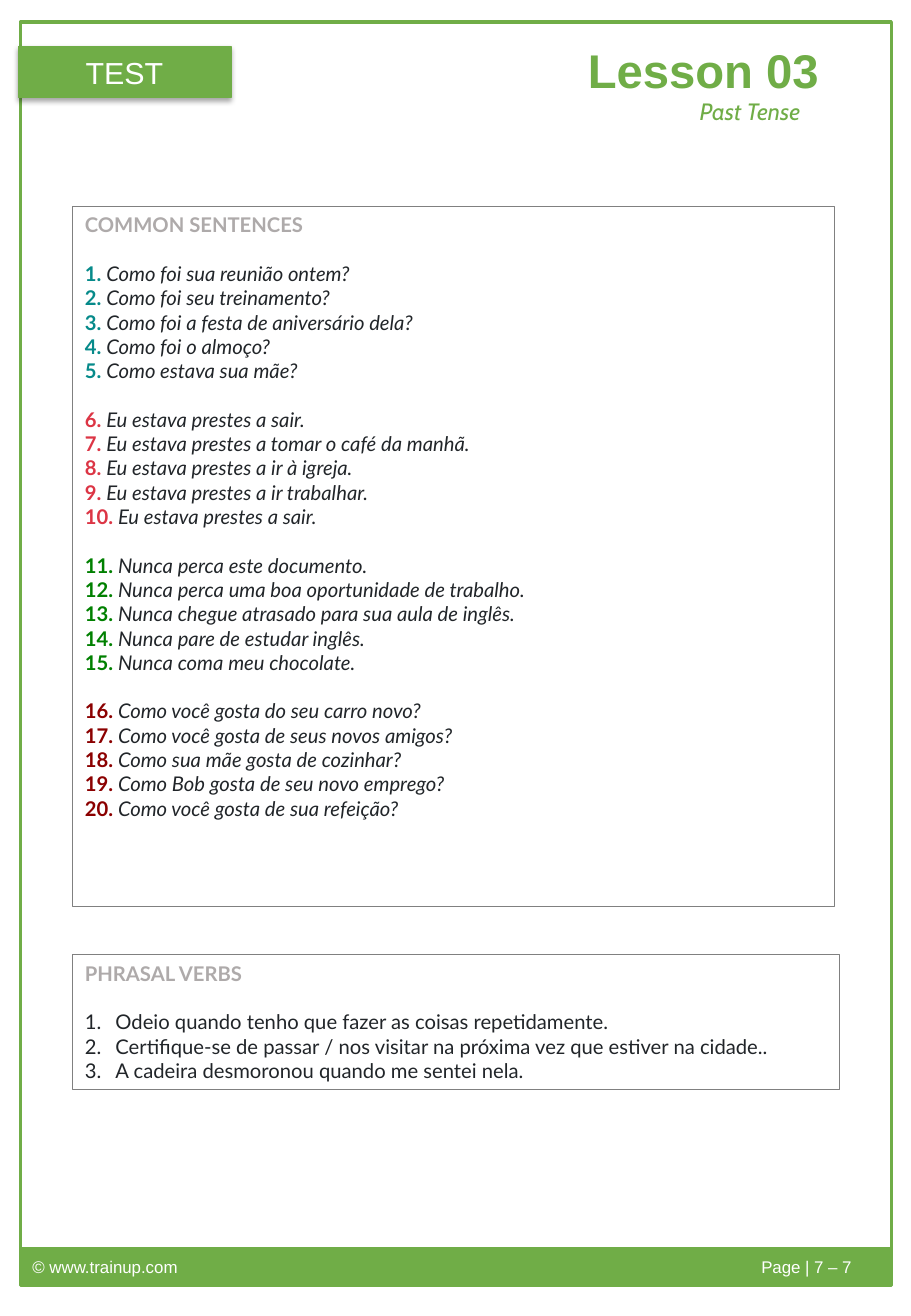
from lxml import etree
from pptx import Presentation
from pptx.dml.color import RGBColor
from pptx.enum.shapes import MSO_SHAPE
from pptx.enum.text import MSO_ANCHOR, MSO_AUTO_SIZE, PP_ALIGN
from pptx.oxml.ns import qn
from pptx.util import Cm, Pt

RECT, ROUNDED = MSO_SHAPE.RECTANGLE, MSO_SHAPE.ROUNDED_RECTANGLE
TOP, MIDDLE = MSO_ANCHOR.TOP, MSO_ANCHOR.MIDDLE
LEFT, CENTER = PP_ALIGN.LEFT, PP_ALIGN.CENTER
NO_FIT = MSO_AUTO_SIZE.NONE

GREEN, WHITE, GREY, HEADING, INK = "70AD47", "FFFFFF", "808080", "AEAAAA", "212529"
GAP = 14.4

SENTENCES = [
    ("068A8A", ["Como foi sua reunião ontem?",
                "Como foi seu treinamento?",
                "Como foi a festa de aniversário dela?",
                "Como foi o almoço?",
                "Como estava sua mãe?"]),
    ("DC3545", ["Eu estava prestes a sair.",
                "Eu estava prestes a tomar o café da manhã.",
                "Eu estava prestes a ir à igreja.",
                "Eu estava prestes a ir trabalhar.",
                "Eu estava prestes a sair."]),
    ("008000", ["Nunca perca este documento.",
                "Nunca perca uma boa oportunidade de trabalho.",
                "Nunca chegue atrasado para sua aula de inglês.",
                "Nunca pare de estudar inglês.",
                "Nunca coma meu chocolate."]),
    ("8B0000", ["Como você gosta do seu carro novo?",
                "Como você gosta de seus novos amigos?",
                "Como sua mãe gosta de cozinhar?",
                "Como Bob gosta de seu novo emprego?",
                "Como você gosta de sua refeição?"]),
]
VERBS = ["Odeio quando tenho que fazer as coisas repetidamente.",
         "Certifique-se de passar / nos visitar na próxima vez que estiver na cidade..",
         "A cadeira desmoronou quando me sentei nela."]


def rgb(value):
    return RGBColor.from_string(value)


def style(r, size, name, color, bold=False, italic=False):
    f = r.font
    f.size, f.name, f.bold, f.italic = Pt(size), name, bold, italic
    f.color.rgb = rgb(color)


def place(s, box):
    s.left, s.top, s.width, s.height = [Cm(v) for v in box]


def outline(s, color, width):
    s.line.color.rgb = rgb(color)
    s.line.width = Pt(width)


def write(s, text, size, name, color, align=LEFT, anchor=TOP, bold=False, italic=False):
    tf = s.text_frame
    tf.vertical_anchor = anchor
    p = tf.paragraphs[0]
    p.text = text
    p.alignment = align
    style(p.runs[0], size, name, color, bold, italic)
    return p


def add_block(kind, box, width, fill=None):
    s = slide.shapes.add_shape(kind, *[Cm(v) for v in box])
    s.shadow.inherit = False
    outline(s, GREEN, width)
    if fill:
        s.fill.solid()
        s.fill.fore_color.rgb = rgb(fill)
    else:
        s.fill.background()
    return s


def add_line(tf, parts, before=0, numbered=False):
    p = tf.add_paragraph() if tf.text else tf.paragraphs[0]
    pPr = p._p.get_or_add_pPr()
    indent = Cm(0.64) if numbered else 0
    pPr.set("marL", str(indent))
    pPr.set("indent", str(-indent))
    if numbered:
        etree.SubElement(pPr, qn("a:buFontTx"))
        etree.SubElement(pPr, qn("a:buAutoNum"), type="arabicPeriod")
    else:
        etree.SubElement(pPr, qn("a:buNone"))
    p.space_before = Pt(before)
    for text, color, bold, italic in parts:
        r = p.add_run()
        r.text = text
        style(r, 12, "Lato", color, bold, italic)


def start_list(idx, box, heading):
    s = slide.placeholders[idx]
    place(s, box)
    outline(s, GREY, 0.75)
    tf = s.text_frame
    tf.auto_size = NO_FIT
    tf.vertical_anchor = TOP
    add_line(tf, [(heading, HEADING, True, False)])
    return tf


prs = Presentation()
prs.slide_width, prs.slide_height = Cm(19.05), Cm(27.51)
slide = prs.slides.add_slide(prs.slide_layouts[3])

add_block(RECT, (0.43, 0.46, 18.21, 26.39), 2)

title = slide.shapes.title
place(title, (12.04, 0.74, 5.41, 1.45))
write(title, "Lesson 03", 28, "Arial", GREEN, bold=True)
title.text_frame.auto_size = NO_FIT
title.text_frame.word_wrap = False

subtitle = slide.shapes.add_textbox(Cm(14.38), Cm(1.9), Cm(2.74), Cm(0.86))
write(subtitle, "Past Tense", 14, "Cabin", GREEN, italic=True)

tf = start_list(1, (1.52, 4.32, 15.93, 14.63), "COMMON SENTENCES")
number = 0
for color, group in SENTENCES:
    for i, sentence in enumerate(group):
        number += 1
        parts = [(f"{number}. ", color, True, False), (sentence, INK, False, True)]
        add_line(tf, parts, 0 if i else GAP)

tf = start_list(2, (1.52, 19.96, 16.03, 2.82), "PHRASAL VERBS")
for i, verb in enumerate(VERBS):
    add_line(tf, [(verb, INK, False, False)], 0 if i else GAP, numbered=True)

tag = add_block(ROUNDED, (0.38, 0.97, 4.45, 1.07), 0.75, GREEN)
tag.adjustments[0] = 0
write(tag, "TEST", 18, "Arial", WHITE, CENTER, MIDDLE)
effects = tag._element.spPr.find(qn("a:effectLst"))
shadow = etree.SubElement(effects, qn("a:outerShdw"), blurRad=str(Pt(3.1)),
                          dist=str(Pt(1.8)), dir="5400000", rotWithShape="0")
black = etree.SubElement(shadow, qn("a:srgbClr"), val="000000")
etree.SubElement(black, qn("a:alpha"), val="35000")

footer = add_block(RECT, (0.43, 26.11, 18.21, 0.76), 2, GREEN)
p = write(footer, "© www.trainup.com\tPage | 7 – 7", 10, "Arial", WHITE, LEFT, MIDDLE)
tabs = etree.SubElement(p._p.get_or_add_pPr(), qn("a:tabLst"))
etree.SubElement(tabs, qn("a:tab"), pos=str(Cm(15.24)), algn="l")

prs.save("out.pptx")
